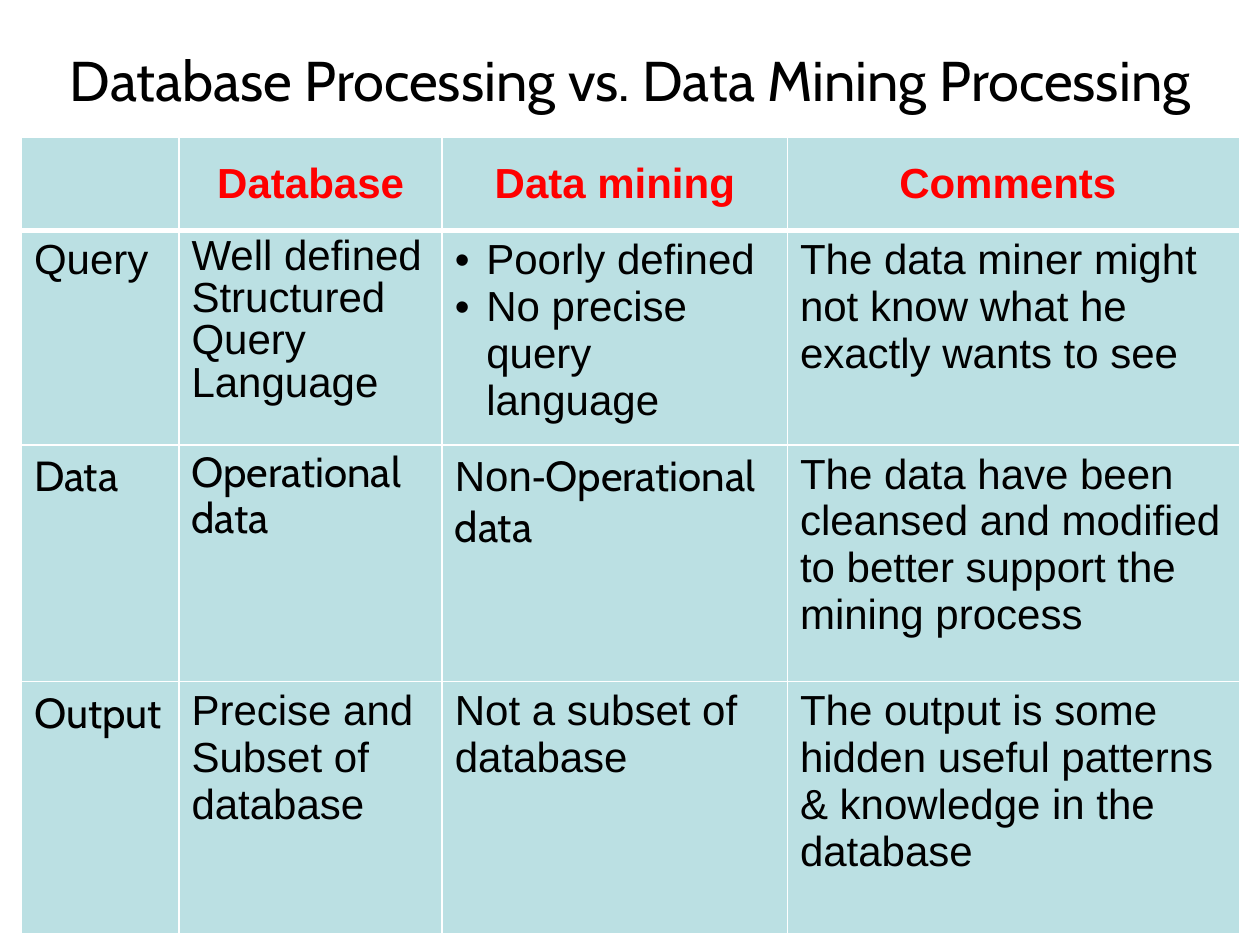
from lxml.etree import SubElement
from pptx import Presentation
from pptx.dml.color import RGBColor
from pptx.enum.text import MSO_ANCHOR, PP_ALIGN
from pptx.oxml.ns import qn
from pptx.util import Inches, Pt

BLACK = RGBColor(0x00, 0x00, 0x00)
RED = RGBColor(0xFF, 0x00, 0x00)
WHITE = RGBColor(0xFF, 0xFF, 0xFF)
PALE_TEAL = RGBColor(0xBB, 0xE0, 0xE3)
SANS, DISPLAY = "Arial", "Cabin"

TITLE = "Database Processing vs. Data Mining Processing"
COLUMN_WIDTHS = [1.25, 2.09, 2.74, 3.59]
ROW_HEIGHTS = [0.74, 1.54, 1.88, 2.0]
HEADERS = ["", "Database", "Data mining", "Comments "]
TIGHT = {"line_spacing": 0.9}
BULLETED = {"bullet": "•"}

# Each cell: paragraph format, then paragraphs made of (text, font) runs.
BODY = [
    [
        ({}, [[("Query", SANS)]]),
        (TIGHT, [[("Well defined", SANS)], [("Structured Query Language", SANS)]]),
        (BULLETED, [[("Poorly defined", SANS)], [("No precise query language", SANS)]]),
        ({}, [[("The data miner might not know what he exactly wants to see", SANS)]]),
    ],
    [
        ({}, [[("Data", DISPLAY)]]),
        (TIGHT, [[("Operational data", DISPLAY)]]),
        ({}, [[("Non-", SANS), ("Operational data", DISPLAY)]]),
        ({}, [[("The data have been cleansed and modified to better support "
                "the mining process", SANS)]]),
    ],
    [
        ({}, [[("Output", DISPLAY)]]),
        ({}, [[("Precise and Subset of database", SANS)]]),
        ({}, [[("Not a subset of database", SANS)]]),
        ({}, [[("The output is some hidden useful patterns & knowledge in the "
                "database", SANS)]]),
    ],
]


def add_run(paragraph, text, color=BLACK, **font_values):
    run = paragraph.add_run()
    run.text = text
    run.font.color.rgb = color
    for name, value in font_values.items():
        setattr(run.font, name, value)


def add_bullet(paragraph, character):
    properties = paragraph._p.get_or_add_pPr()
    properties.set("marL", str(Inches(0.25)))
    properties.set("indent", str(Inches(-0.25)))
    SubElement(properties, qn("a:buFont"), typeface=SANS)
    SubElement(properties, qn("a:buChar"), char=character)


def set_borders(cell, top, bottom):
    """Draw white edges; top and bottom are line widths in points."""
    properties = cell._tc.get_or_add_tcPr()
    for side, width in {"L": 1, "R": 1, "T": top, "B": bottom}.items():
        line = SubElement(properties, qn(f"a:ln{side}"), w=str(Pt(width)))
        fill = SubElement(line, qn("a:solidFill"))
        SubElement(fill, qn("a:srgbClr"), val=str(WHITE))


def fill_text(cell, paragraph_format, paragraphs):
    frame = cell.text_frame
    for index, runs in enumerate(paragraphs):
        paragraph = frame.add_paragraph() if index else frame.paragraphs[0]
        for name, value in paragraph_format.items():
            if name == "bullet":
                add_bullet(paragraph, value)
            else:
                setattr(paragraph, name, value)
        for text, font in runs:
            add_run(paragraph, text, name=font, size=Pt(24))


def add_title(slide, left, top, width, height):
    frame = slide.shapes.add_textbox(left, top, width, height).text_frame
    frame.word_wrap = True
    frame.vertical_anchor = MSO_ANCHOR.MIDDLE
    paragraph = frame.paragraphs[0]
    paragraph.alignment = PP_ALIGN.CENTER
    add_run(paragraph, TITLE, name=DISPLAY, size=Pt(32))


def add_comparison_table(slide, left, top, width, height):
    table = slide.shapes.add_table(
        len(ROW_HEIGHTS), len(COLUMN_WIDTHS), left, top, width, height).table
    table.horz_banding = False
    for column, column_width in zip(table.columns, COLUMN_WIDTHS):
        column.width = Inches(column_width)
    for row_index, (row, row_height) in enumerate(zip(table.rows, ROW_HEIGHTS)):
        row.height = Inches(row_height)
        for cell in row.cells:
            set_borders(cell, top=3 if row_index == 1 else 1,
                        bottom=3 if row_index == 0 else 1)
            cell.fill.solid()
            cell.fill.fore_color.rgb = PALE_TEAL

    for column_index, header in enumerate(HEADERS):
        if header:
            cell = table.cell(0, column_index)
            cell.vertical_anchor = MSO_ANCHOR.MIDDLE
            paragraph = cell.text_frame.paragraphs[0]
            paragraph.alignment = PP_ALIGN.CENTER
            add_run(paragraph, header, RED, name=SANS, size=Pt(24), bold=True)
    for row_index, contents in enumerate(BODY, start=1):
        for column_index, (paragraph_format, paragraphs) in enumerate(contents):
            fill_text(table.cell(row_index, column_index), paragraph_format, paragraphs)


def main():
    presentation = Presentation()
    presentation.slide_width = Inches(10)
    presentation.slide_height = Inches(7.5)
    slide = presentation.slides.add_slide(presentation.slide_layouts[6])
    left, width = Inches(0.17), Inches(sum(COLUMN_WIDTHS))
    add_title(slide, left, Inches(0.17), width, Inches(0.92))
    add_comparison_table(slide, left, Inches(1.09), width, Inches(sum(ROW_HEIGHTS)))
    presentation.save("out.pptx")


if __name__ == "__main__":
    main()
